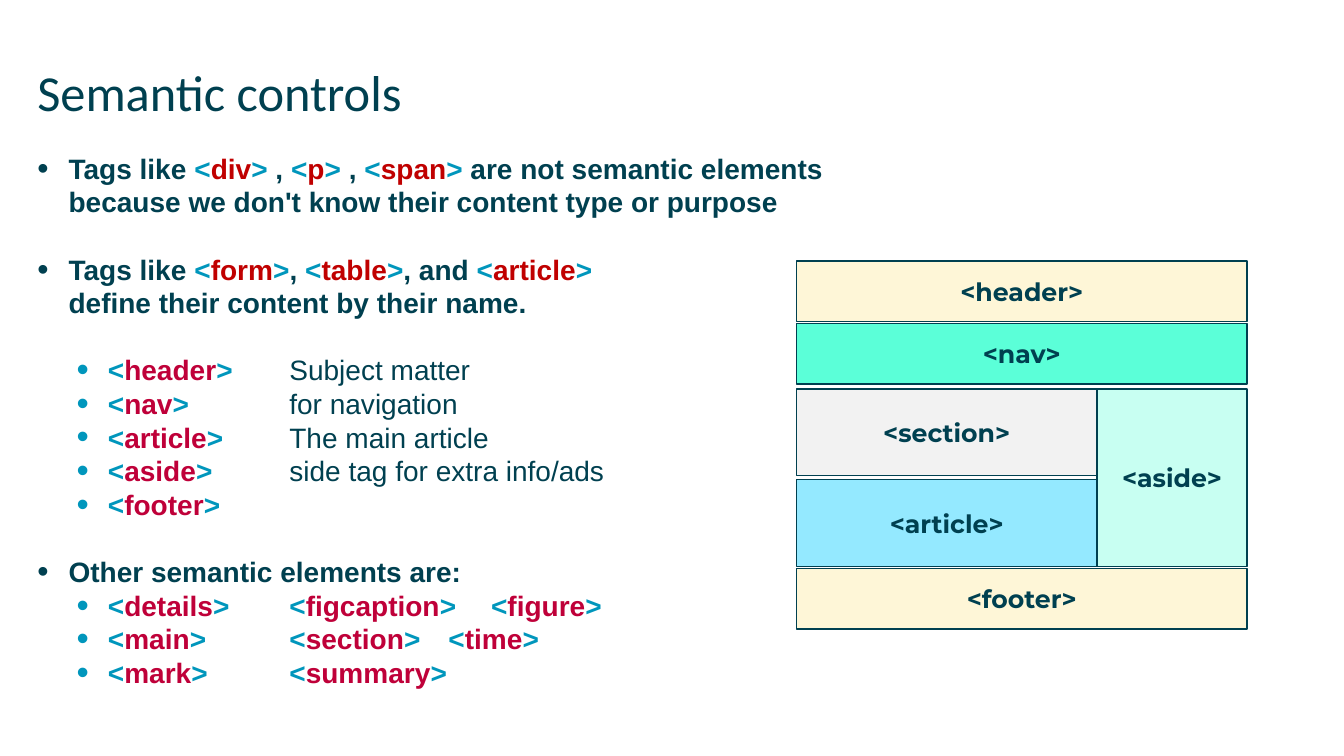
from dataclasses import dataclass

from lxml import etree
from pptx import Presentation
from pptx.dml.color import RGBColor
from pptx.enum.shapes import MSO_SHAPE
from pptx.enum.text import MSO_ANCHOR, PP_ALIGN
from pptx.oxml.ns import qn
from pptx.util import Inches, Pt

RECTANGLE = MSO_SHAPE.RECTANGLE
TOP, MIDDLE = MSO_ANCHOR.TOP, MSO_ANCHOR.MIDDLE
LEFT, CENTER = PP_ALIGN.LEFT, PP_ALIGN.CENTER
TITLE_ONLY = 5


@dataclass(frozen=True)
class Theme:
    ink: str = "004050"
    bracket: str = "0096BC"
    tag_red: str = "C00000"
    tag_crimson: str = "BF0039"
    cream: str = "FEF6D7"
    mint: str = "5BFFD8"
    pale_mint: str = "C8FFF2"
    grey: str = "F2F2F2"
    sky: str = "94E9FF"
    title_font: str = "Calibri"
    body_font: str = "Arial"
    diagram_font: str = "Montserrat"
    title_size: int = 36
    body_size: int = 20
    diagram_size: int = 18
    line_pitch: int = 24


THEME = Theme()

LEVELS = [
    {"indent": 0.31, "bullet": 115, "bullet_color": THEME.ink,
     "tag": THEME.tag_red, "bold": True},
    {"indent": 0.7, "bullet": 125, "bullet_color": THEME.bracket,
     "tag": THEME.tag_crimson, "bold": False},
]
HANGING = 0.31

# Level, whether a gap of one line comes before, text
POINTS = [
    (0, False, "Tags like <div> , <p> , <span> are not semantic elements \n"
               "because we don't know their content type or purpose"),
    (0, True, "Tags like <form>, <table>, and <article> \n"
              "define their content by their name."),
    (1, True, "<header>\t\tSubject matter"),
    (1, False, "<nav>\t\tfor navigation"),
    (1, False, "<article>\t\tThe main article"),
    (1, False, "<aside>\t\tside tag for extra info/ads"),
    (1, False, "<footer>"),
    (0, True, "Other semantic elements are:"),
    (1, False, "<details>\t\t<figcaption>\t<figure>"),
    (1, False, "<main>\t\t<section>\t <time>"),
    (1, False, "<mark>\t\t<summary>"),
]


def format_font(font, name, size, color, bold=False):
    for key, value in {"name": name, "size": Pt(size), "bold": bold}.items():
        setattr(font, key, value)
    font.color.rgb = RGBColor.from_string(color)


def format_frame(frame, anchor):
    settings = {"word_wrap": True, "vertical_anchor": anchor, "margin_left": 0,
                "margin_right": 0, "margin_top": 0, "margin_bottom": 0}
    for key, value in settings.items():
        setattr(frame, key, value)


def add_bullet(paragraph, level):
    properties = paragraph._p.get_or_add_pPr()
    properties.set("marL", str(Inches(level["indent"])))
    properties.set("indent", str(Inches(-HANGING)))
    color = etree.SubElement(properties, qn("a:buClr"))
    etree.SubElement(color, qn("a:srgbClr"), val=level["bullet_color"])
    etree.SubElement(properties, qn("a:buSzPct"), val=str(level["bullet"] * 1000))
    etree.SubElement(properties, qn("a:buFont"), typeface=THEME.body_font)
    etree.SubElement(properties, qn("a:buChar"), char="•")


def add_run(paragraph, text, color, bold):
    """Add text in one colour, turning each newline into a line break."""
    for number, line in enumerate(text.split("\n")):
        if number:
            paragraph.add_line_break()
        if line:
            run = paragraph.add_run()
            run.text = line
            format_font(run.font, THEME.body_font, THEME.body_size, color, bold)


def add_tagged_text(paragraph, text, level):
    """Colour the brackets and the name of each tag in the text."""
    lead, *pieces = text.split("<")
    add_run(paragraph, lead, THEME.ink, level["bold"])
    for piece in pieces:
        tag, _, rest = piece.partition(">")
        add_run(paragraph, "<", THEME.bracket, True)
        add_run(paragraph, tag, level["tag"], True)
        add_run(paragraph, ">", THEME.bracket, True)
        add_run(paragraph, rest, THEME.ink, level["bold"])


def place_title(slide, left, top, width, height):
    title = slide.shapes.title
    box = {"left": left, "top": top, "width": width, "height": height}
    for key, value in box.items():
        setattr(title, key, Inches(value))
    title.text_frame.text = "Semantic controls"
    format_frame(title.text_frame, TOP)
    paragraph = title.text_frame.paragraphs[0]
    paragraph.alignment = LEFT
    format_font(paragraph.runs[0].font, THEME.title_font, THEME.title_size, THEME.ink)


def add_points(slide, left, top, width, height):
    frame = slide.shapes.add_textbox(
        Inches(left), Inches(top), Inches(width), Inches(height)).text_frame
    format_frame(frame, TOP)
    for number, (depth, gap_before, text) in enumerate(POINTS):
        paragraph = frame.add_paragraph() if number else frame.paragraphs[0]
        paragraph.level = depth
        paragraph.line_spacing = Pt(THEME.line_pitch)
        if gap_before:
            paragraph.space_before = Pt(THEME.line_pitch)
        add_bullet(paragraph, LEVELS[depth])
        add_tagged_text(paragraph, text, LEVELS[depth])


def add_page_diagram(slide, left, top, width):
    bar, half, gap = 0.6, 0.86, 0.02
    main_width = width * 2 / 3
    nav_top = bar + gap
    main_top = nav_top + bar + 0.05
    main_height = 2 * half + 2 * gap
    footer_top = main_top + main_height + gap
    regions = [
        ("<header>", 0, 0, width, bar, THEME.cream),
        ("<footer>", 0, footer_top, width, bar, THEME.cream),
        ("<nav>", 0, nav_top, width, bar, THEME.mint),
        ("<section>", 0, main_top, main_width, half, THEME.grey),
        ("<article>", 0, main_top + main_height - half, main_width, half, THEME.sky),
        ("<aside>", main_width, main_top, width - main_width, main_height,
         THEME.pale_mint),
    ]
    diagram = slide.shapes.add_group_shape()
    for label, x, y, region_width, region_height, fill in regions:
        region = diagram.shapes.add_shape(
            RECTANGLE, Inches(left + x), Inches(top + y),
            Inches(region_width), Inches(region_height))
        region.shadow.inherit = False
        region.fill.solid()
        region.fill.fore_color.rgb = RGBColor.from_string(fill)
        region.line.color.rgb = RGBColor.from_string(THEME.ink)
        region.line.width = Pt(1)
        format_frame(region.text_frame, MIDDLE)
        paragraph = region.text_frame.paragraphs[0]
        paragraph.alignment = CENTER
        run = paragraph.add_run()
        run.text = label
        format_font(run.font, THEME.diagram_font, THEME.diagram_size, THEME.ink, True)


def main():
    presentation = Presentation()
    presentation.slide_width = Inches(13.33)
    presentation.slide_height = Inches(7.5)
    slide = presentation.slides.add_slide(presentation.slide_layouts[TITLE_ONLY])
    place_title(slide, 0.37, 0.61, 12.6, 0.88)
    add_points(slide, 0.37, 1.5, 12.59, 5.42)
    add_page_diagram(slide, 7.9, 2.59, 4.47)
    presentation.save("out.pptx")


if __name__ == "__main__":
    main()
